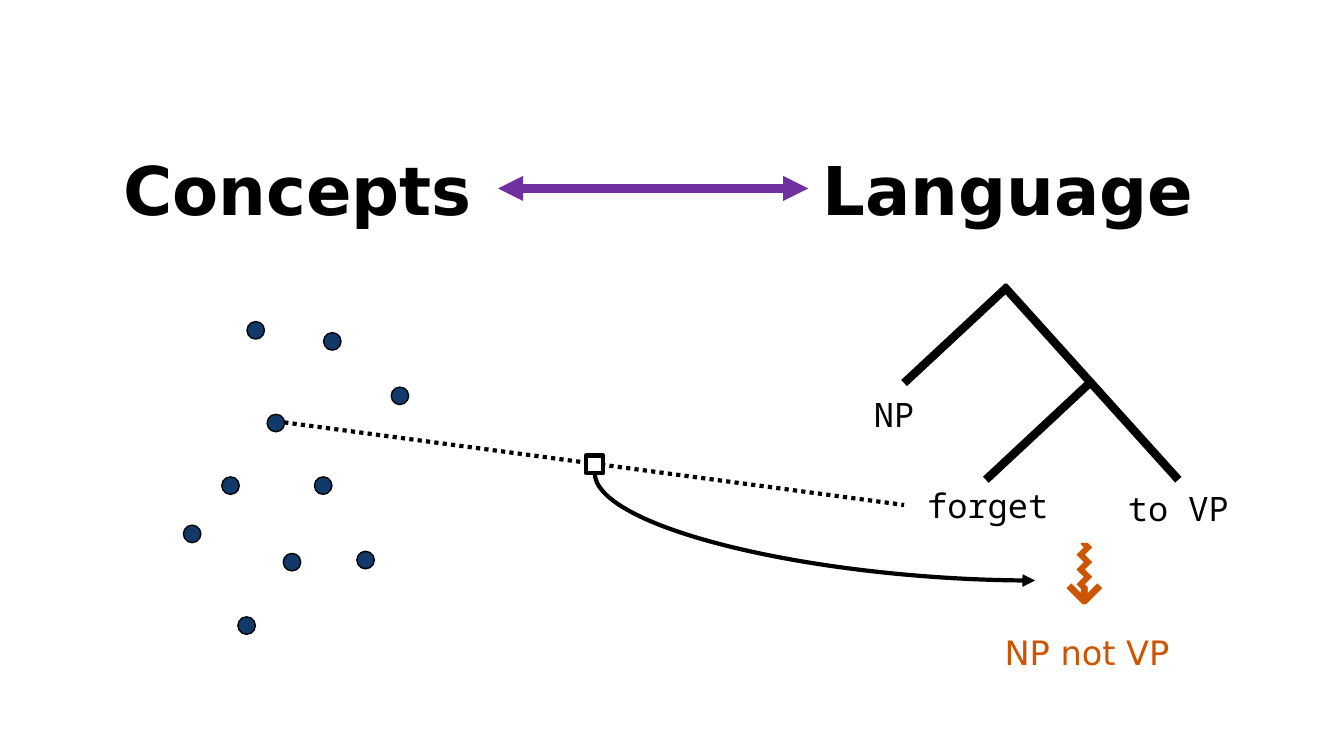
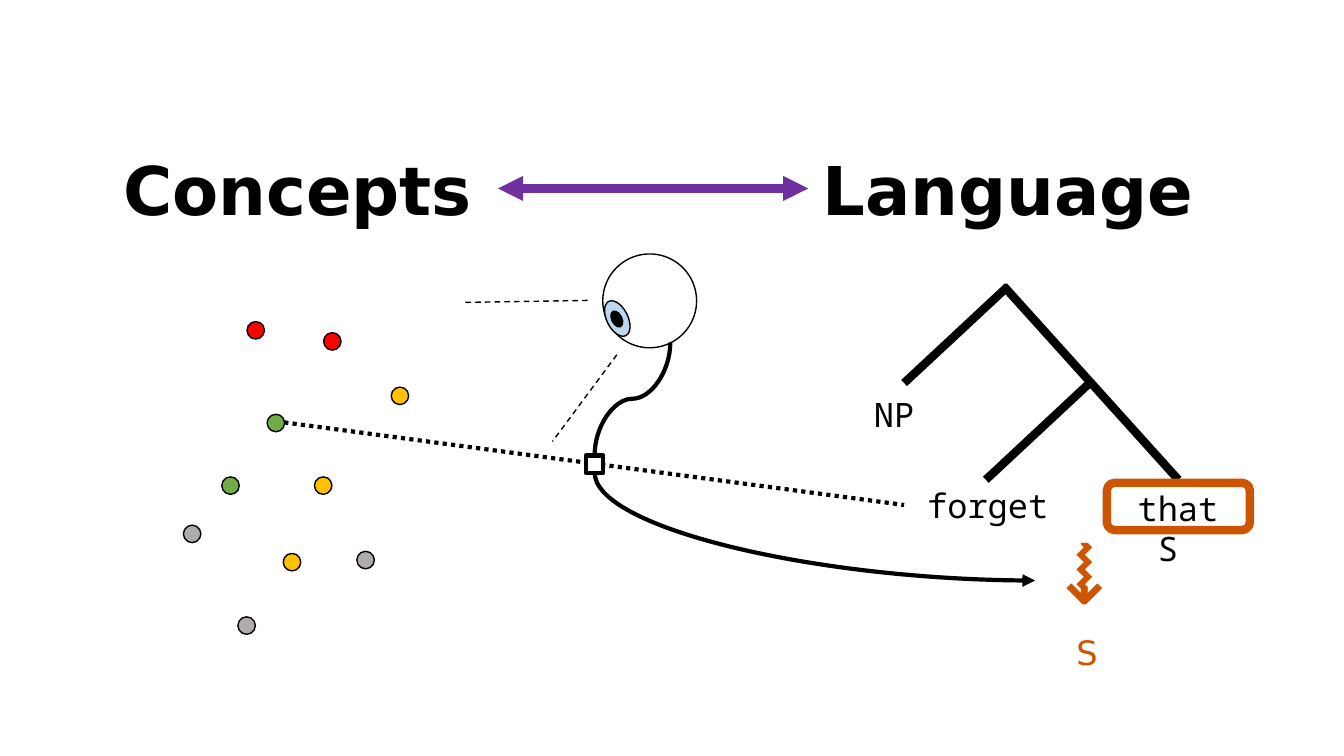
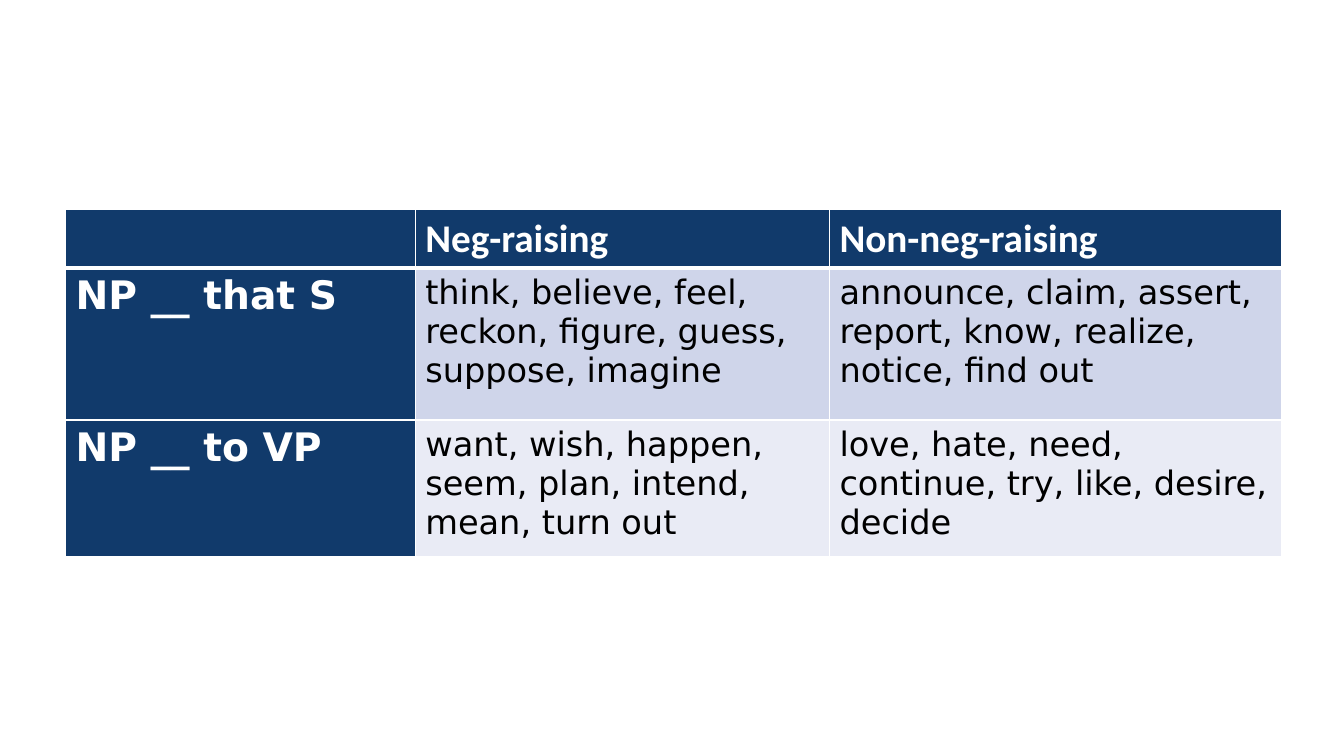
"""Build three slides on mapping concepts to language and on neg-raising verbs."""
import pptx
import pptx.util
import pptx.dml.color
import pptx.enum.dml
import pptx.enum.shapes
import pptx.enum.text
import pptx.oxml
import pptx.oxml.ns
from lxml import etree

Pt = pptx.util.Pt
qn = pptx.oxml.ns.qn
SHAPE = pptx.enum.shapes.MSO_SHAPE
CONNECTOR = pptx.enum.shapes.MSO_CONNECTOR
DASH = pptx.enum.dml.MSO_LINE

COLORS = {
    "black": "000000", "white": "FFFFFF", "navy": "113A6B", "purple": "7030A0",
    "orange": "CD5400", "red": "FF0000", "amber": "FFC000", "green": "70AD47",
    "grey": "AFABAB", "iris": "BDD7EE", "band": "CFD5EA", "pale": "E9EBF5",
}
SANS, MONO, HEADER = "DejaVu Sans", "Noto Sans Mono", "Calibri"

HEADINGS = [("Concepts", 69.8), ("Language", 577.4)]
BRANCHES = [
    (720, 204.5, 645.8, 273.6),
    (778.3, 273.6, 704.2, 342.7),
    (717.1, 204.5, 841.7, 342.7),
]
LEAVES = [("NP", (578.9, 277.9, 119.5, 36)), ("forget", (645.8, 342.7, 119.5, 36))]
CONCEPTS = [
    (176.4, 229.7, "red"), (231.1, 237.6, "red"), (190.8, 295.9, "green"),
    (224.6, 340.6, "amber"), (158.4, 340.6, "green"), (279.4, 276.5, "amber"),
    (202.3, 395.3, "amber"), (254.9, 393.8, "grey"), (169.9, 440.6, "grey"),
    (131, 375.1, "grey"),
]
MARK = 12.5
EYE = [
    ((430.6, 181.4, 67, 67), "white"),
    ((433.4, 213.8, 15.1, 27.4), "iris"),
    ((437, 221.8, 7.2, 12.2), "black"),
]
GAZE = [(419.8, 214.6, 331.9, 216), (440.6, 253.4, 394.6, 315.4)]
VERBS = [
    ["", "Neg-raising", "Non-neg-raising"],
    ["NP __ that S",
     "think, believe, feel, reckon, figure, guess, suppose, imagine",
     "announce, claim, assert, report, know, realize, notice, find out"],
    ["NP __ to VP",
     "want, wish, happen, seem, plan, intend, mean, turn out",
     "love, hate, need, continue, try, like, desire, decide"],
]
VERB_WIDTHS = [249.8, 295.9, 323.3]
VERB_HEIGHTS = [29.5, 108.7, 97.9]


def rgb(color):
    return pptx.dml.color.RGBColor.from_string(COLORS[color])


def style_font(font, face, size, color, bold=False):
    font.name, font.size, font.bold = face, Pt(size), bold
    font.color.rgb = rgb(color)


def add_words(slide, words, box, face=MONO, size=24, color="black", bold=False, wrap=True):
    label = slide.shapes.add_textbox(*map(Pt, box))
    frame = label.text_frame
    frame.word_wrap = wrap
    frame.auto_size = pptx.enum.text.MSO_AUTO_SIZE.SHAPE_TO_FIT_TEXT
    frame.text = words
    paragraph = frame.paragraphs[0]
    if wrap:
        paragraph.alignment = pptx.enum.text.PP_ALIGN.CENTER
    style_font(paragraph.runs[0].font, face, size, color, bold)
    return label


def add_outline(slide, kind, box, fill, line="black", weight=1, turn=0):
    shape = slide.shapes.add_shape(kind, *map(Pt, box))
    shape.shadow.inherit = False
    shape.rotation = turn
    if fill:
        shape.fill.solid()
        shape.fill.fore_color.rgb = rgb(fill)
    else:
        shape.fill.background()
    shape.line.color.rgb = rgb(line)
    shape.line.width = Pt(weight)


def add_line(slide, ends, weight, color="black", dash=None, arrows=(), kind=CONNECTOR.STRAIGHT):
    link = slide.shapes.add_connector(kind, *map(Pt, ends))
    link.line.color.rgb = rgb(color)
    link.line.width = Pt(weight)
    if dash:
        link.line.dash_style = dash
    properties = link.element.spPr
    for end in arrows:
        etree.SubElement(properties.find(qn("a:ln")), qn(f"a:{end}"), type="triangle")
    etree.SubElement(properties, qn("a:effectLst"))
    return link


def add_curve(slide, box, preset, turn, flips, arrows=()):
    left, top, width, height = box
    curve = add_line(slide, (left, top, left + width, top + height), 3,
                     arrows=arrows, kind=CONNECTOR.CURVE)
    properties = curve.element.spPr
    properties.find(qn("a:prstGeom")).set("prst", preset)
    frame = properties.find(qn("a:xfrm"))
    frame.set("rot", str(turn * 60000))
    for flip in flips:
        frame.set(flip, "1")


def add_mapping(slide, complement, complement_box, outcome, concept_color=None):
    for branch in BRANCHES:
        add_line(slide, branch, 6)
    for heading, left in HEADINGS:
        add_words(slide, heading, (left, 102.2, 285.8, 65.5), SANS, 48, bold=True)
    add_line(slide, (355.7, 134.6, 577.4, 134.6), 6, "purple", arrows=("headEnd", "tailEnd"))
    for leaf, box in LEAVES + [(complement, complement_box)]:
        add_words(slide, leaf, box)
    for left, top, color in CONCEPTS:
        add_outline(slide, SHAPE.OVAL, (left, top, MARK, MARK), concept_color or color)
    add_line(slide, (203, 301.7, 645.8, 360.7), 3, dash=DASH.ROUND_DOT)
    squiggle = add_words(slide, "⇝", (742.3, 374.4, 74.2, 79.9), MONO, 60, "orange", wrap=False)
    squiggle.rotation = 90
    add_words(slide, outcome, (627.8, 447.8, 297.4, 36), SANS, 24, "orange")
    add_curve(slide, (543.6, 218.9, 77, 314.6), "curvedConnector2", 270, ["flipH"], ["tailEnd"])
    add_outline(slide, SHAPE.RECTANGLE, (418.3, 325.4, MARK, MARK), "white", weight=3)


def add_eye(slide):
    for box, fill in EYE:
        add_outline(slide, SHAPE.OVAL, box, fill, turn=333.5)
    for sightline in GAZE:
        add_line(slide, sightline, 1, dash=DASH.DASH)
    add_curve(slide, (411.8, 257.8, 79.9, 54), "curvedConnector3", 90, ["flipH", "flipV"])


def set_borders(cell, weights):
    properties = cell._tc.get_or_add_tcPr()
    for place, (side, weight) in enumerate(weights.items()):
        border = etree.Element(qn(f"a:ln{side}"), w=str(Pt(weight)))
        fill = etree.SubElement(border, qn("a:solidFill"))
        etree.SubElement(fill, qn("a:srgbClr"), val=COLORS["white"])
        properties.insert(place, border)


def add_verb_table(slide):
    frame = slide.shapes.add_table(3, 3, Pt(46.8), Pt(149.8), Pt(869), Pt(272.2))
    table = frame.table
    table.first_row = table.horz_banding = False
    for column, width in zip(table.columns, VERB_WIDTHS):
        column.width = Pt(width)
    for row, height in zip(table.rows, VERB_HEIGHTS):
        row.height = Pt(height)
    frame.height = Pt(272.2)
    for r, verbs in enumerate(VERBS):
        for c, words in enumerate(verbs):
            cell = table.cell(r, c)
            title = r == 0 or c == 0
            cell.fill.solid()
            cell.fill.fore_color.rgb = rgb("navy" if title else ("band", "pale")[r - 1])
            set_borders(cell, {"L": 1, "R": 1, "T": 3 if r == 1 else 1, "B": 3 if r == 0 else 1})
            if words:
                cell.text_frame.text = words
                style_font(cell.text_frame.paragraphs[0].runs[0].font,
                           HEADER if r == 0 else SANS, 28 if title else 24,
                           "white" if title else "black", title)


def main():
    deck = pptx.Presentation()
    deck.slide_width, deck.slide_height = Pt(960), Pt(540)
    plain, observed, verbs = [deck.slides.add_slide(deck.slide_layouts[6]) for _ in range(3)]
    add_mapping(plain, "to VP", (781.9, 344.9, 119.5, 36), "NP not VP", "navy")
    add_mapping(observed, "that S ", (794.2, 344.9, 94.3, 36), "S")
    add_outline(observed, SHAPE.ROUNDED_RECTANGLE, (790.6, 344.9, 102.2, 33.8), None, "orange", 6)
    add_eye(observed)
    add_verb_table(verbs)
    deck.save("out.pptx")


if __name__ == "__main__":
    main()
